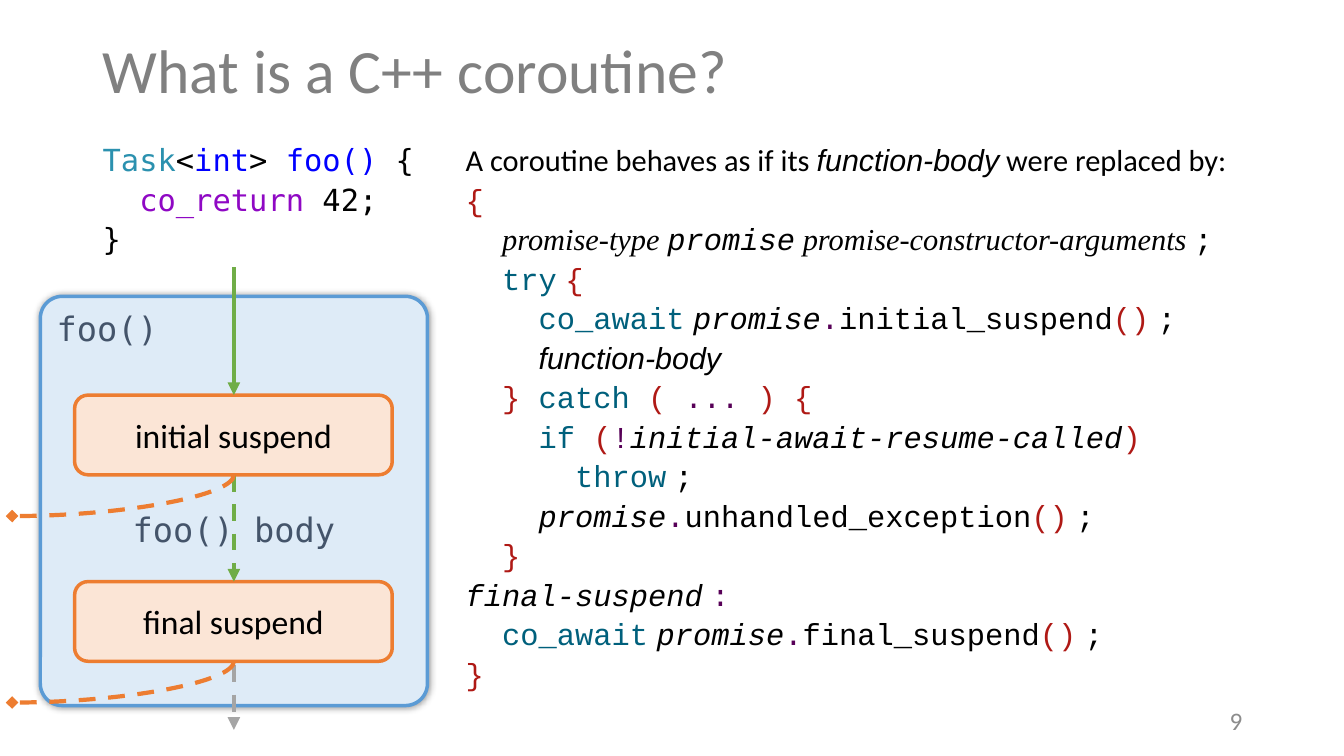
from lxml.etree import SubElement
from pptx import Presentation
from pptx.dml.color import RGBColor
from pptx.enum.dml import MSO_LINE
from pptx.enum.shapes import MSO_CONNECTOR, MSO_SHAPE
from pptx.enum.text import MSO_ANCHOR, PP_ALIGN
from pptx.oxml.ns import qn
from pptx.util import Cm, Pt

TITLE = "What is a C++ coroutine?"
PAGE = "9"
STEPS = ["initial suspend", "final suspend"]
HEX = {
    "black": "000000", "title": "808080", "page": "8C8C8C", "slate": "44546A",
    "type": "2B91AF", "blue": "0000FF", "purple": "8F08C4",
    "key": "00607C", "red": "AF1915", "plum": "570057",
    "sky": "DEEBF7", "edge": "5B9BD5", "peach": "FBE5D6", "orange": "ED7D31",
    "green": "70AD47", "gray": "A5A5A5",
}
MONO, COUR, SANS = "DejaVu Sans Mono", "Courier New", "Calibri"

# style: font, colour, italic
STYLES = {
    "type": (MONO, "type", False), "blue": (MONO, "blue", False),
    "ret": (MONO, "purple", False), "mono": (MONO, "black", False),
    "prose": (SANS, "black", False), "body": ("Arial", "black", True),
    "gap": ("Arial", "black", False), "term": ("Times New Roman", "black", True),
    "code": (COUR, "black", False), "var": (COUR, "black", True),
    "key": (COUR, "key", False), "red": (COUR, "red", False),
    "op": (COUR, "plum", False),
}
GAP, END = ("gap", " "), ("code", ";")


def call(pad, name, lead=()):
    """Tokens of one call on the promise object."""
    return [("code", pad), *lead, ("var", "promise"), ("op", "."),
            ("code", name), ("red", "()"), GAP, END]


AWAIT = [("key", "co_await"), GAP]
SOURCE = [
    [("type", "Task"), ("mono", "<"), ("blue", "int"), ("mono", "> "),
     ("blue", "foo() "), ("mono", "{")],
    [("mono", "  "), ("ret", "co_return"), ("mono", " 42;")],
    [("mono", "}")],
]
RESULT = [
    [("prose", "A coroutine behaves as if its\u00a0"), ("body", "function-body"),
     ("prose", "\u00a0were replaced by:")],
    [("red", "{")],
    [("code", "  "), ("term", "promise-type "), ("var", "promise"),
     ("term", " promise-constructor-arguments "), END],
    [("code", "  "), ("key", "try"), GAP, ("red", "{")],
    call("    ", "initial_suspend", AWAIT),
    [("code", "    "), ("body", "function-body")],
    [("code", "  "), ("red", "} "), ("key", "catch "), ("red", "( "),
     ("op", "... "), ("red", ") {")],
    [("code", "    "), ("key", "if "), ("red", "("), ("op", "!"),
     ("var", "initial-await-resume-called"), ("red", ")")],
    [("code", "      "), ("key", "throw"), GAP, END],
    call("    ", "unhandled_exception"),
    [("code", "  "), ("red", "}")],
    [("var", "final-suspend"), GAP, ("op", ":")],
    call("  ", "final_suspend", AWAIT),
    [("red", "}")],
]


def inch(num):
    return Cm(num * 2.54)


def area(left, top, wide, high):
    return [inch(num) for num in (left, top, wide, high)]


def color(name):
    return RGBColor.from_string(HEX[name])


def style(font, name, size, tint, slant=False):
    font.name, font.size, font.italic = name, Pt(size), slant
    font.color.rgb = color(tint)


def write(para, text, name, size, tint, align=PP_ALIGN.LEFT):
    para.text = text
    para.alignment = align
    style(para.runs[0].font, name, size, tint)


def listing(slide, lines, box, align):
    frame = slide.shapes.add_textbox(*area(*box)).text_frame
    frame.word_wrap = True
    for row, line in enumerate(lines):
        para = frame.add_paragraph() if row else frame.paragraphs[0]
        para.alignment, para.line_spacing = align, 0.7
        para.space_before = Pt(10 if row else 0)
        for kind, text in line:
            run = para.add_run()
            run.text = text
            name, tint, slant = STYLES[kind]
            style(run.font, name, 21.7, tint, slant)


def panel(slide, box, fill, edge):
    shape = slide.shapes.add_shape(MSO_SHAPE.ROUNDED_RECTANGLE, *area(*box))
    shape.shadow.inherit = False
    shape.fill.solid()
    shape.fill.fore_color.rgb = color(fill)
    shape.line.color.rgb = color(edge)
    shape.line.width = Pt(2.5)
    return shape


def glow(shape):
    """Soft shadow on all sides."""
    fx = shape.element.spPr.find(qn("a:effectLst"))
    shade = SubElement(fx, qn("a:outerShdw"), blurRad=str(Pt(5)), dist="0",
                       algn="ctr", rotWithShape="0")
    tint = SubElement(shade, qn("a:srgbClr"), val=HEX["black"])
    SubElement(tint, qn("a:alpha"), val="40000")


def arrow(slide, kind, ends, tint, dash=True, head="triangle"):
    link = slide.shapes.add_connector(kind, *area(*ends))
    link.line.color.rgb = color(tint)
    link.line.width = Pt(3)
    if dash:
        link.line.dash_style = MSO_LINE.DASH
    props = link.element.spPr
    SubElement(props.find(qn("a:ln")), qn("a:tailEnd"), type=head)
    SubElement(props, qn("a:effectLst"))
    return props


def bend(slide, x, y, wide, high):
    """Quarter curve from (x, y) down and to the left."""
    mid, half = x - wide / 2, y + high / 2
    ends = (mid - high / 2, half - wide / 2, mid + high / 2, half + wide / 2)
    props = arrow(slide, MSO_CONNECTOR.CURVE, ends, "orange", head="diamond")
    props.find(qn("a:xfrm")).set("rot", "5400000")
    props.find(qn("a:prstGeom")).set("prst", "curvedConnector2")


def flow(slide):
    left, wide, high = 0.74, 3.15, 0.79
    tops = [3.92, 5.77]
    axis = 2.32
    for top, text in zip(tops, STEPS):
        step = panel(slide, (left, top, wide, high), "peach", "orange")
        step.text_frame.vertical_anchor = MSO_ANCHOR.MIDDLE
        write(step.text_frame.paragraphs[0], text, SANS, 24, "black", PP_ALIGN.CENTER)
    first, last = tops
    for start, stop, tint, dash in [(2.65, first, "green", False),
                                    (first + high, last, "green", True),
                                    (6.6, 7.24, "gray", True)]:
        arrow(slide, MSO_CONNECTOR.STRAIGHT, (axis, start, axis, stop), tint, dash)
    for top in tops:
        bend(slide, axis, top + high, 2.2, 0.41)


def main():
    deck = Presentation()
    deck.slide_width, deck.slide_height = inch(13.33), inch(7.5)
    slide = deck.slides.add_slide(deck.slide_layouts[5])

    frame = panel(slide, (0.4, 2.94, 3.84, 4.06), "sky", "edge")
    frame.adjustments[0] = 0.057
    glow(frame)
    text = frame.text_frame
    text.vertical_anchor = MSO_ANCHOR.TOP
    write(text.paragraphs[0], "foo()", MONO, 24, "slate")
    body = text.add_paragraph()
    write(body, "foo() body", MONO, 24, "slate", PP_ALIGN.CENTER)
    body.space_before = Pt(115)

    title = slide.shapes.title
    title.left, title.top, title.width, title.height = area(0.92, 0, 11.5, 1.45)
    title.text_frame.vertical_anchor = MSO_ANCHOR.MIDDLE
    write(title.text_frame.paragraphs[0], TITLE, SANS, 44, "title")
    title.text_frame.paragraphs[0].line_spacing = 0.9

    listing(slide, SOURCE, (0.92, 1.45, 3.45, 5.5), PP_ALIGN.LEFT)
    listing(slide, RESULT, (4.52, 1.45, 7.9, 5.5), PP_ALIGN.JUSTIFY)
    flow(slide)

    page = slide.shapes.add_textbox(*area(9.42, 6.95, 3, 0.4)).text_frame
    page.word_wrap = True
    page.vertical_anchor = MSO_ANCHOR.MIDDLE
    write(page.paragraphs[0], PAGE, SANS, 18, "page", PP_ALIGN.RIGHT)
    deck.save("out.pptx")


if __name__ == "__main__":
    main()
